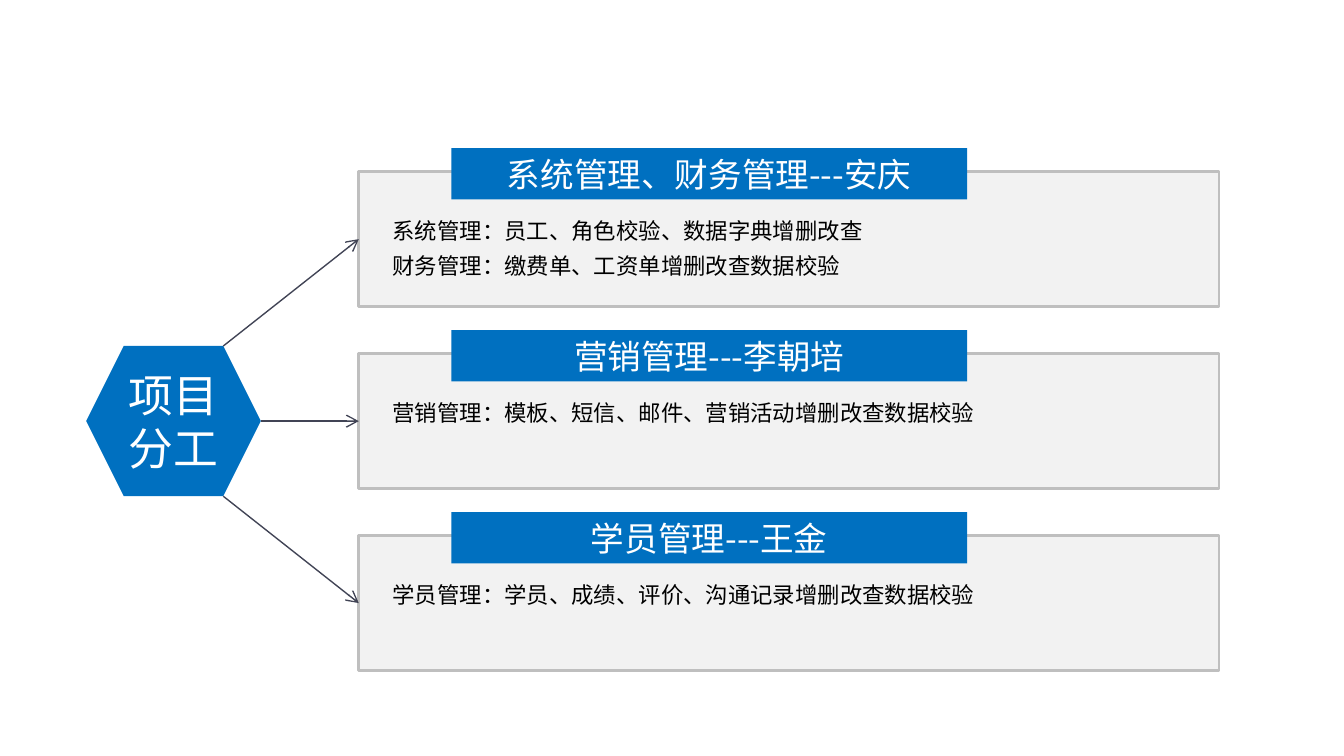
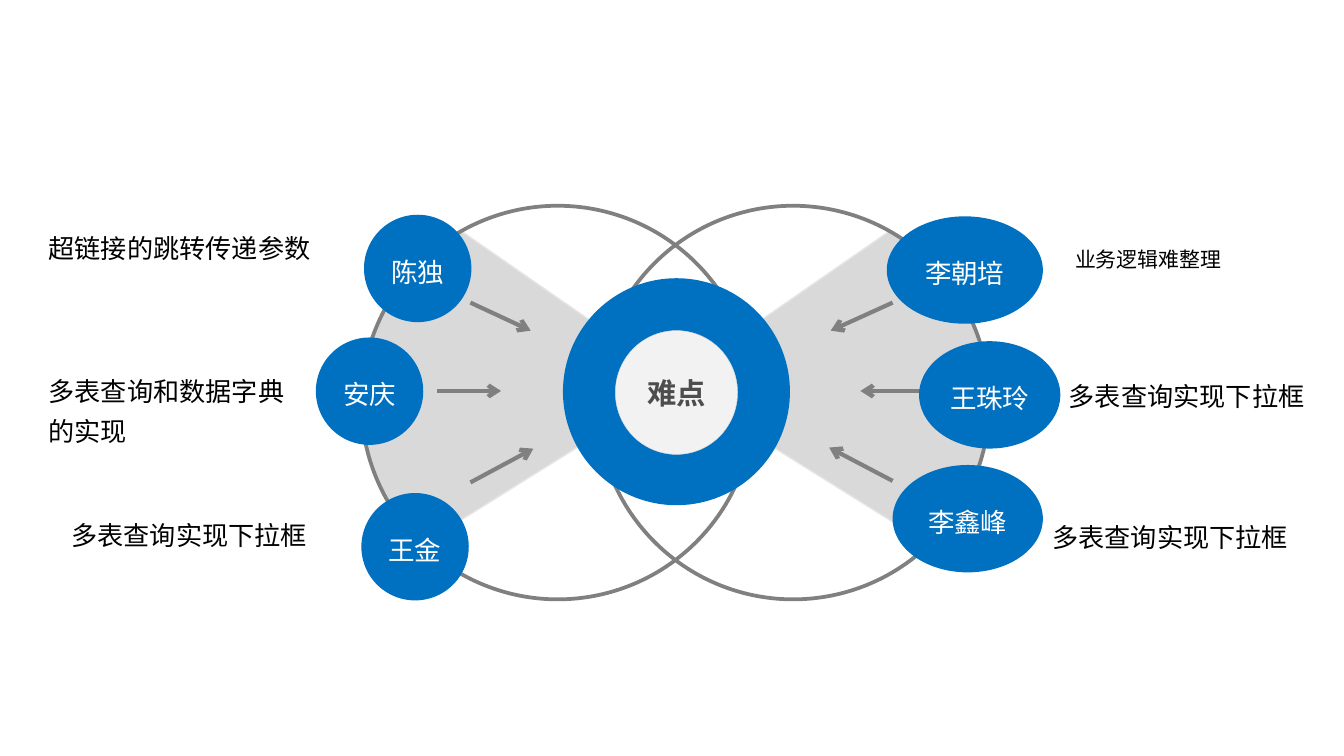
from lxml import etree
from pptx import Presentation
from pptx import util as u
from pptx.dml.color import RGBColor
from pptx.enum import shapes, text
from pptx.oxml.ns import qn

BLUE = RGBColor(0x00, 0x70, 0xC0)
PALE = RGBColor(0xF2, 0xF2, 0xF2)
BORDER = RGBColor(0xBF, 0xBF, 0xBF)
HUB_EDGE = RGBColor(0xD7, 0xD7, 0xD7)
WEDGE = RGBColor(0xD9, 0xD9, 0xD9)
WEDGE_EDGE = RGBColor(0xE6, 0xE6, 0xE6)
GRAY = RGBColor(0x80, 0x80, 0x80)
SLATE = RGBColor(0x41, 0x44, 0x55)
DARK = RGBColor(0x4D, 0x4D, 0x4D)
BLACK = RGBColor(0, 0, 0)
WHITE = RGBColor(255, 255, 255)

CJK = "Noto Sans CJK SC"
GEO = shapes.MSO_SHAPE
MARGINS = {
    "margin_left": u.Cm(0.18),
    "margin_right": u.Cm(0.18),
    "margin_top": u.Cm(0.1),
    "margin_bottom": u.Cm(0.1),
}


def apply(obj, formats):
    for name, value in formats.items():
        setattr(obj, name, value)


def bezier(p0, p1, p2, p3, steps=12):
    for i in range(1, steps + 1):
        t = i / steps
        yield tuple(
            (1 - t) ** 3 * a + 3 * (1 - t) ** 2 * t * b + 3 * (1 - t) * t * t * c + t ** 3 * d
            for a, b, c, d in zip(p0, p1, p2, p3)
        )


class Deck:
    def __init__(self):
        self.prs = Presentation()
        apply(self.prs, {"slide_width": u.Cm(25.4), "slide_height": u.Cm(14.29)})
        self.s = None

    def new_slide(self):
        self.s = self.prs.slides.add_slide(self.prs.slide_layouts[6])

    def paint(self, sp, fill, line, width):
        sp.shadow.inherit = False
        if fill is None:
            sp.fill.background()
        else:
            sp.fill.solid()
            sp.fill.fore_color.rgb = fill
        if line is None:
            sp.line.fill.background()
        else:
            sp.line.color.rgb = line
            sp.line.width = u.Pt(width)

    def put_text(self, sp, lines, size, color, font=CJK, bold=False, frame=None, para=None):
        tf = sp.text_frame
        apply(tf, {"word_wrap": True, **MARGINS, **(frame or {})})
        for i, line in enumerate(lines):
            p = tf.add_paragraph() if i else tf.paragraphs[0]
            apply(p, para or {})
            r = p.add_run()
            r.text = line
            apply(r.font, {"name": font, "size": u.Pt(size), "bold": bold})
            r.font.color.rgb = color
            ea = etree.SubElement(r.font._element, qn("a:ea"))
            ea.set("typeface", CJK)

    def shape(self, kind, box, fill=None, line=None, width=1):
        sp = self.s.shapes.add_shape(kind, *map(u.Cm, box))
        self.paint(sp, fill, line, width)
        return sp

    def label(self, kind, box, caption, size, fill=BLUE, line=None, width=1,
              color=WHITE, font=CJK, bold=False, spacing=1.0):
        sp = self.shape(kind, box, fill, line, width)
        self.put_text(sp, [caption], size, color, font, bold,
                      {"vertical_anchor": text.MSO_ANCHOR.MIDDLE},
                      {"alignment": text.PP_ALIGN.CENTER, "line_spacing": spacing})

    def note(self, box, lines, size):
        sp = self.s.shapes.add_textbox(*map(u.Cm, box))
        self.put_text(sp, lines, size, BLACK,
                      frame={"auto_size": text.MSO_AUTO_SIZE.SHAPE_TO_FIT_TEXT},
                      para={"line_spacing": 1.3})

    def arrow(self, start, end, color, width, target=None):
        cn = self.s.shapes.add_connector(
            shapes.MSO_CONNECTOR.STRAIGHT, *map(u.Cm, (*start, *end)))
        if target is not None:
            cn.end_connect(target, 1)
        cn.line.color.rgb = color
        cn.line.width = u.Pt(width)
        etree.SubElement(cn.line._get_or_add_ln(), qn("a:tailEnd")).set("type", "arrow")
        etree.SubElement(cn._element.spPr, qn("a:effectLst"))

    def outline(self, points, fill, line, width):
        first, *rest = [(u.Cm(x), u.Cm(y)) for x, y in points]
        fb = self.s.shapes.build_freeform(*first)
        fb.add_line_segments(rest, close=True)
        self.paint(fb.convert_to_shape(), fill, line, width)


def division_slide(deck):
    deck.new_slide()
    left, top, width, height, pitch = 6.78, 3.25, 16.26, 2.54, 3.44
    duties = [
        ("系统管理、财务管理---安庆",
         ["系统管理：员工、角色校验、数据字典增删改查",
          "财务管理：缴费单、工资单增删改查数据校验"], (4.22, 6.54)),
        ("营销管理---李朝培",
         ["营销管理：模板、短信、邮件、营销活动增删改查数据校验"], (4.93, 7.96)),
        ("学员管理---王金",
         ["学员管理：学员、成绩、评价、沟通记录增删改查数据校验"], (4.22, 9.38)),
    ]
    deck.label(GEO.HEXAGON, (1.63, 6.54, 3.3, 2.84), "项目分工", 24)
    for i, (heading, details, corner) in enumerate(duties):
        y = top + i * pitch
        panel = deck.shape(GEO.RECTANGLE, (left, y, width, height), PALE, BORDER, 1.5)
        deck.label(GEO.RECTANGLE, (8.53, y - 0.45, 9.75, 0.97), heading, 18)
        deck.note((7.24, y + 0.6, 15.21, 1.45), details, 12)
        deck.arrow(corner, (left, y + height / 2), SLATE, 0.75, panel)


def difficulty_slide(deck):
    deck.new_slide()
    axis = 25.53
    shoulder, tip, foot, side = (18.16, 5.74), (12.67, 7.24), (17.55, 10.29), (18.69, 7.57)
    wedge = [
        shoulder,
        *bezier(shoulder, (17.58, 4.93), (17.73, 4.98), (16.81, 4.37)),
        tip,
        foot,
        *bezier(foot, (18.77, 8.84), (18.64, 8.33), side),
        *bezier(side, (18.67, 6.93), (18.52, 6.27), shoulder),
    ]
    deck.outline(wedge, WEDGE, WEDGE_EDGE, 0.75)
    deck.outline([(axis - x, y) for x, y in wedge], WEDGE, WEDGE_EDGE, 0.75)
    for x in (6.83, 11.28):
        deck.shape(GEO.OVAL, (x, 3.89, 7.42, 7.44), None, GRAY, 2)

    arrows = [
        ((8.89, 5.72), (10.03, 6.25)),
        ((8.26, 7.39), (9.47, 7.39)),
        ((8.89, 9.12), (10.08, 8.48)),
        ((16.87, 9.09), (15.67, 8.46)),
        ((17.48, 7.39), (16.26, 7.39)),
        ((16.87, 5.72), (15.7, 6.25)),
    ]
    for start, end in arrows:
        deck.arrow(start, end, GRAY, 2.25)

    deck.shape(GEO.OVAL, (10.64, 5.26, 4.29, 4.29), BLUE)
    deck.label(GEO.OVAL, (11.63, 6.25, 2.31, 2.34), "难点", 15.7, PALE, HUB_EDGE, 0.25,
               DARK, "Roboto Condensed", True)

    members = [
        ("陈独", 6.88, 4.06, 2.03),
        ("李朝培", 16.76, 4.09, 2.95),
        ("李鑫峰", 16.87, 8.79, 2.84),
        ("安庆", 5.97, 6.38, 2.03),
        ("王珠玲", 17.37, 6.45, 2.67),
        ("王金", 6.83, 9.32, 2.03),
    ]
    for name, x, y, width in members:
        deck.label(GEO.OVAL, (x, y, width, 2.03), name, 14.2, font="Arial", spacing=1.2)

    dropdown = "多表查询实现下拉框"
    notes = [
        ("超链接的跳转传递参数", (0.74, 4.11, 5.61, 0.97), 14),
        ("业务逻辑难整理", (20.14, 4.42, 4.37, 0.76), 11.2),
        ("多表查询和数据字典的实现", (0.74, 6.81, 5.23, 1.75), 14),
        (dropdown, (20.02, 6.91, 4.9, 1.6), 14),
        (dropdown, (19.71, 9.58, 5.23, 1.6), 14),
        (dropdown, (1.17, 9.55, 5.21, 0.97), 14),
    ]
    for difficulty, box, size in notes:
        deck.note(box, [difficulty], size)


def main():
    deck = Deck()
    division_slide(deck)
    difficulty_slide(deck)
    deck.prs.save("out.pptx")


if __name__ == "__main__":
    main()
